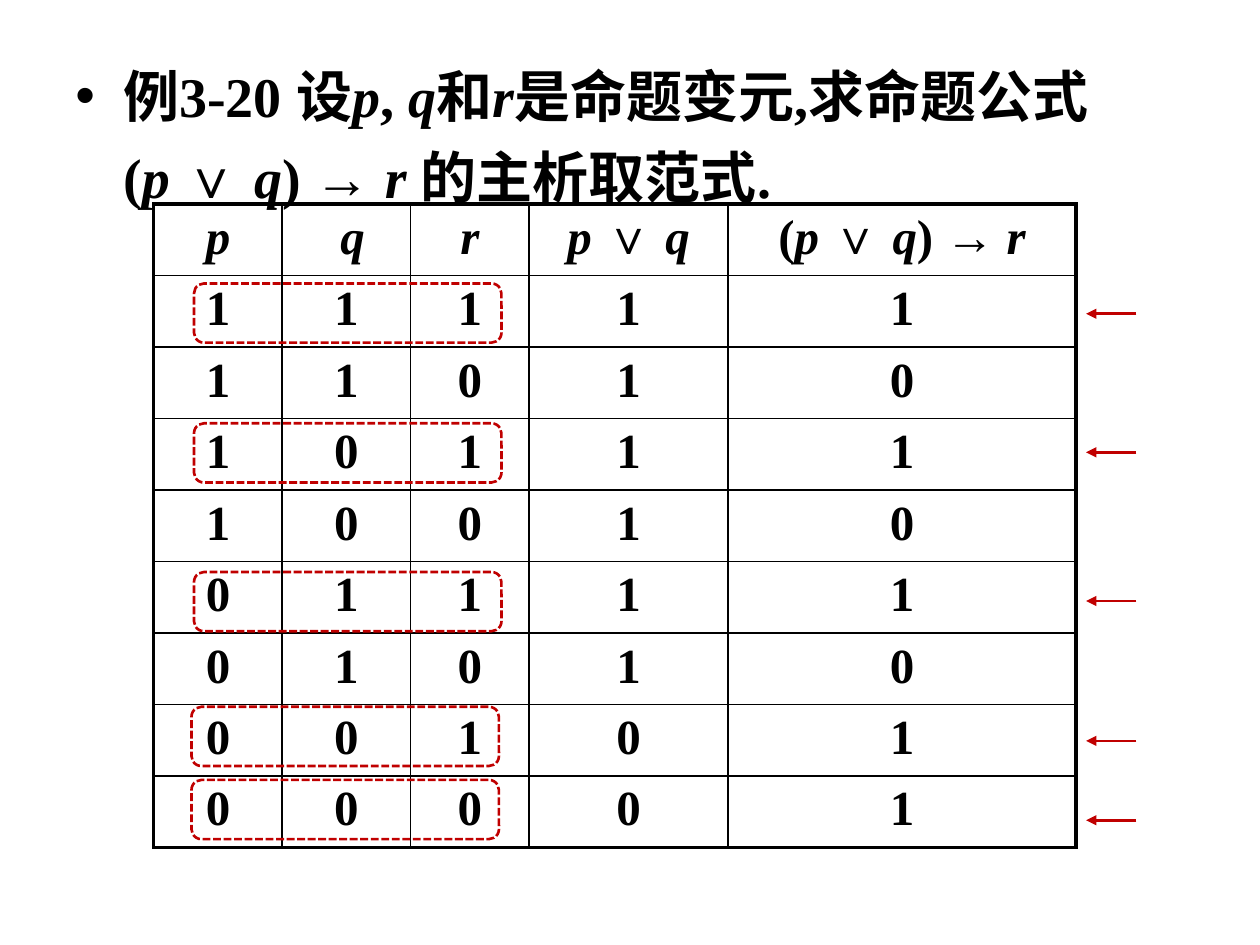
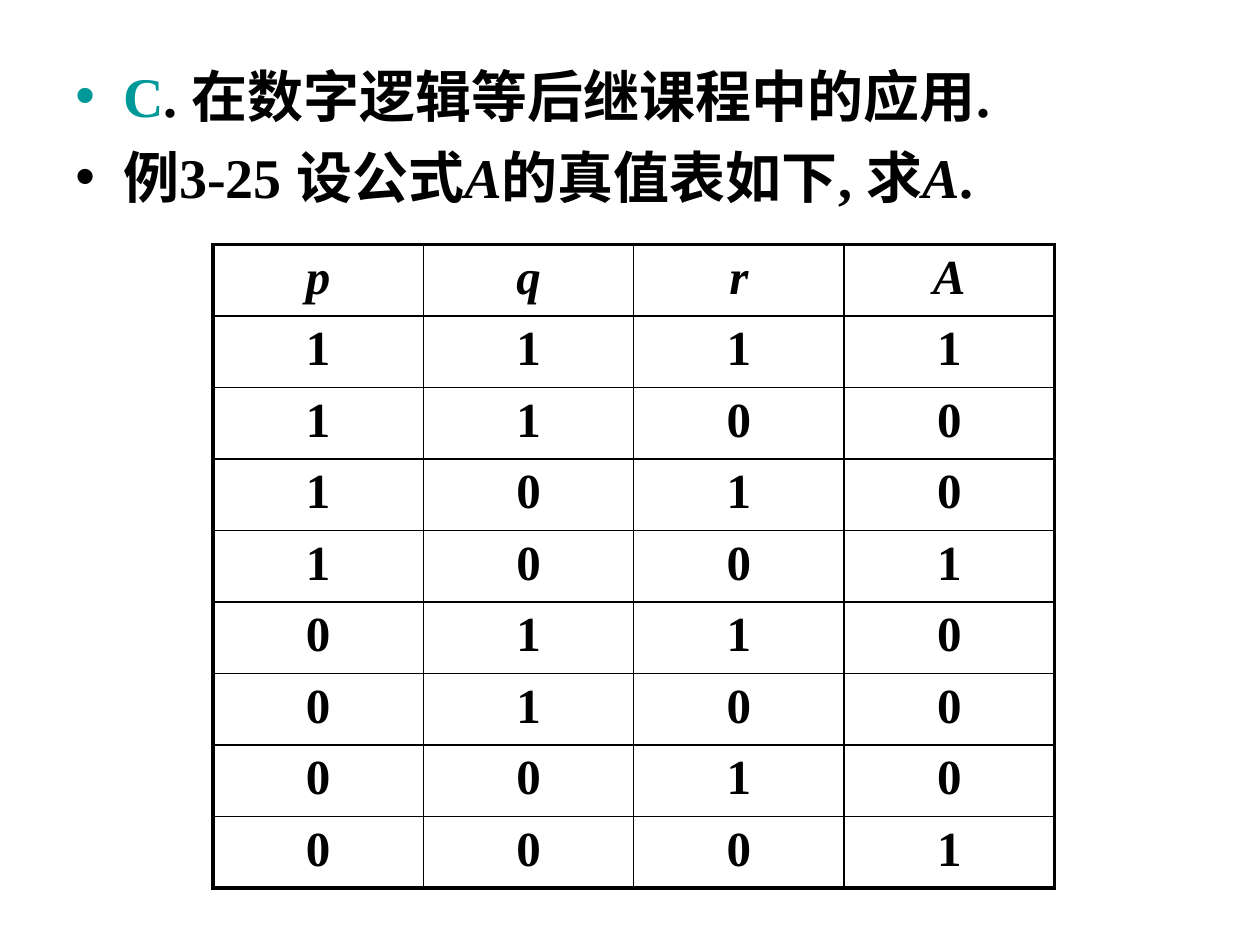
"""Build two slides of truth tables for propositional formulas."""
from itertools import product

from lxml import etree
from pptx import Presentation
from pptx.dml.color import RGBColor
from pptx.enum.dml import MSO_LINE
from pptx.enum.shapes import MSO_CONNECTOR, MSO_SHAPE
from pptx.enum.text import PP_ALIGN
from pptx.oxml.ns import qn
from pptx.util import Inches, Pt

STRAIGHT = MSO_CONNECTOR.STRAIGHT
ROUNDED = MSO_SHAPE.ROUNDED_RECTANGLE
SQUARE_DASH = MSO_LINE.SQUARE_DOT
CENTER = PP_ALIGN.CENTER

COLORS = {"text": "000000", "accent": "009999", "mark": "C00000"}
FONT = "Times New Roman"
ROW_HEIGHT = 5.1 / 9
THIN, THICK = 1, 2.25


def add_spans(para, markup, size):
    """Add runs, with italics between asterisks."""
    for index, text in enumerate(markup.split("*")):
        if text:
            span = para.add_run()
            span.text = text
            span.font.name = FONT
            span.font.size = Pt(size)
            span.font.bold = True
            span.font.italic = index % 2 == 1
            span.font.color.rgb = RGBColor.from_string(COLORS["text"])


def set_border(cell, side, width):
    """Draw one side of a table cell."""
    border = etree.SubElement(cell._tc.get_or_add_tcPr(), qn(f"a:ln{side}"), w=str(Pt(width)))
    fill = etree.SubElement(border, qn("a:solidFill"))
    etree.SubElement(fill, qn("a:srgbClr"), val=COLORS["text"])


assignments = list(product((1, 0), repeat=3))
formula_rows = [(p, q, r, int(p or q), int(r or not (p or q))) for p, q, r in assignments]
answer_rows = [(*values, answer) for values, answer in zip(assignments, (1, 0, 0, 1, 0, 0, 0, 1))]

contents = [
    {
        "bullets": ["例3-20 设*p*, *q*和*r*是命题变元,求命题公式** **(*p *∨ *q*) → *r *的主析取范式."],
        "corner": (1.22, 1.62),
        "widths": (1.02, 1.02, 0.94, 1.58, 2.76),
        "rows": [("*p", " *q", "*r", "*p *∨ *q", "(*p *∨ *q*) → *r"), *formula_rows],
    },
    {
        "bullets": ["C**. 在数字逻辑等后继课程中的应用.", "例3-25 设公式*A*的真值表如下, 求*A*."],
        "corner": (1.69, 1.94),
        "widths": (1.67,) * 4,
        "rows": [("*p", "*q", "*r", "*A"), *answer_rows],
    },
]

deck = Presentation()
deck.slide_width = Inches(10)
deck.slide_height = Inches(7.5)
pages = []
bodies = []

for content in contents:
    page = deck.slides.add_slide(deck.slide_layouts[6])
    pages.append(page)
    body = page.shapes.add_textbox(Inches(0.5), Inches(0.3), Inches(9), Inches(6.4)).text_frame
    bodies.append(body)
    body.word_wrap = True
    body.margin_top = Inches(0.08)
    for index, bullet in enumerate(content["bullets"]):
        para = body.add_paragraph() if index else body.paragraphs[0]
        para.line_spacing = Pt(46.3)
        properties = para._p.get_or_add_pPr()
        properties.set("marL", str(Inches(0.38)))
        properties.set("indent", str(Inches(-0.38)))
        etree.SubElement(properties, qn("a:buFont"), typeface="Arial")
        etree.SubElement(properties, qn("a:buChar"), char="•")
        add_spans(para, bullet, 32)

    rows, widths = content["rows"], content["widths"]
    left, top = content["corner"]
    table = page.shapes.add_table(
        len(rows), len(widths), Inches(left), Inches(top),
        Inches(sum(widths)), Inches(ROW_HEIGHT * len(rows))).table
    table.first_row = False
    table.horz_banding = False
    for column, width in zip(table.columns, widths):
        column.width = Inches(width)
    for row_index, row in enumerate(rows):
        table.rows[row_index].height = Inches(ROW_HEIGHT)
        for column_index, value in enumerate(row):
            cell = table.cell(row_index, column_index)
            para = cell.text_frame.paragraphs[0]
            para.alignment = CENTER
            add_spans(para, str(value), 28)
            outer_sides = {
                "L": column_index == 0,
                "R": column_index == len(widths) - 1,
                "T": row_index == 0,
                "B": row_index == len(rows) - 1,
            }
            for side, is_outer in outer_sides.items():
                set_border(cell, side, THICK if is_outer else THIN)
            cell.fill.background()

for span in bodies[0].paragraphs[0].runs:
    if span.text == " ":
        span._r.get_or_add_rPr().set("spc", "2400")
bodies[1].paragraphs[0].runs[0].font.color.rgb = RGBColor.from_string(COLORS["accent"])

true_row_marks = [(1.54, 2.25, 2.49), (1.54, 3.36, 3.59), (1.54, 4.54, 4.77),
                  (1.52, 5.61, 5.88), (1.52, 6.19, 6.51)]
for left, top, arrow_y in true_row_marks:
    frame = pages[0].shapes.add_shape(ROUNDED, Inches(left), Inches(top), Inches(2.44), Inches(0.47))
    frame.shadow.inherit = False
    frame.fill.background()
    frame.line.dash_style = SQUARE_DASH
    arrow = pages[0].shapes.add_connector(
        STRAIGHT, Inches(9.02), Inches(arrow_y), Inches(8.62), Inches(arrow_y))
    for mark in (frame, arrow):
        mark.line.color.rgb = RGBColor.from_string(COLORS["mark"])
        mark.line.width = Pt(1.5)
    etree.SubElement(arrow.line._get_or_add_ln(), qn("a:tailEnd"), type="triangle")
    etree.SubElement(arrow._element.spPr, qn("a:effectLst"))

deck.save("out.pptx")
